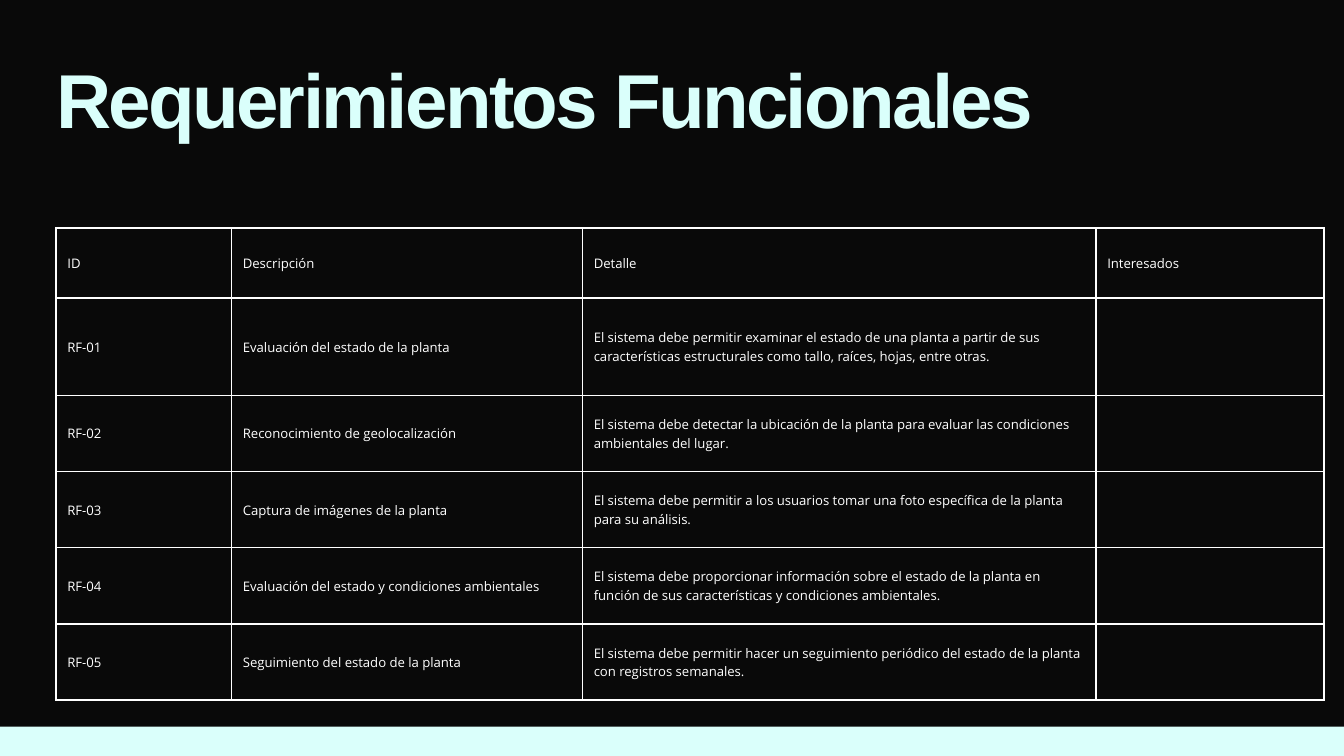
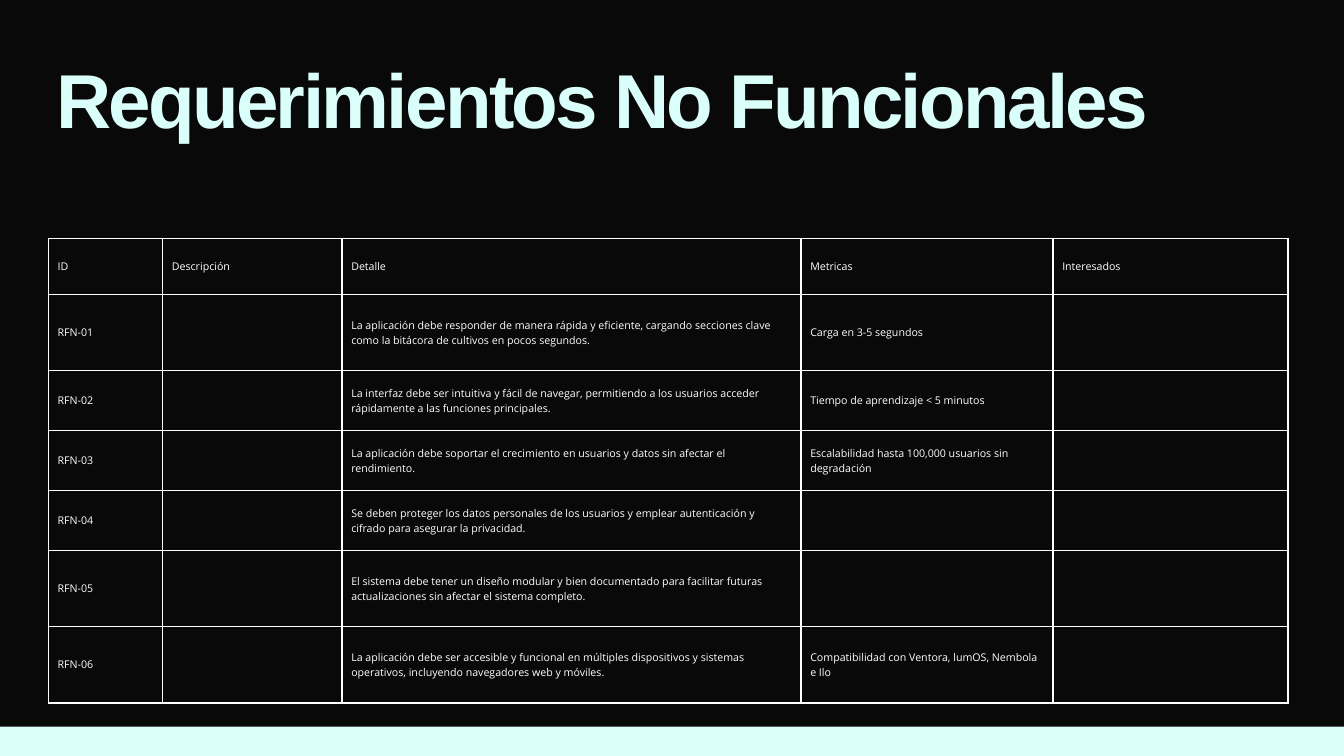
from lxml import etree
from pptx import Presentation
from pptx.dml.color import RGBColor
from pptx.enum import shapes, text
from pptx.oxml import ns
from pptx.util import Pt

COLORS = {"back": "090909", "mint": "DAFFFB", "white": "FFFFFF"}
WIDTH, HEIGHT = 1440, 810
BAND = 31.5
LEFT, TOP = 60, 79.2

PAGES = [
    {
        "title": "Requerimientos Funcionales",
        "box": (1112.4, 165),
        "at": (60, 244.2),
        "cols": [188, 376, 550.2, 244.2],
        "rows": [75, 104.4] + [81.6] * 4,
        "size": 14.1, "lead": 19.8, "inset": 12.2, "rule": 2.08,
        "cells": [
            ("ID", "Descripción", "Detalle", "Interesados"),
            ("RF-01", "Evaluación del estado de la planta",
             "El sistema debe permitir examinar el estado de una planta a partir de sus "
             "características estructurales como tallo, raíces, hojas, entre otras.", ""),
            ("RF-02", "Reconocimiento de geolocalización",
             "El sistema debe detectar la ubicación de la planta para evaluar las "
             "condiciones ambientales del lugar.", ""),
            ("RF-03", "Captura de imágenes de la planta",
             "El sistema debe permitir a los usuarios tomar una foto específica de la "
             "planta para su análisis.", ""),
            ("RF-04", "Evaluación del estado y condiciones ambientales",
             "El sistema debe proporcionar información sobre el estado de la planta en "
             "función de sus características y condiciones ambientales.", ""),
            ("RF-05", "Seguimiento del estado de la planta",
             "El sistema debe permitir hacer un seguimiento periódico del estado de la "
             "planta con registros semanales.", ""),
        ],
    },
    {
        "title": "Requerimientos No Funcionales",
        "box": (1260.7, 90),
        "at": (51.8, 255.6),
        "cols": [122.4, 192.2, 491.8, 270, 252],
        "rows": [60, 81.5] + [64.3] * 3 + [81.5] * 2,
        "size": 11.4, "lead": 15.9, "inset": 10, "rule": 1.95,
        "cells": [
            ("ID", "Descripción", "Detalle", "Metricas", "Interesados"),
            ("RFN-01", "",
             "La aplicación debe responder de manera rápida y eficiente, cargando "
             "secciones clave como la bitácora de cultivos en pocos segundos.",
             "Carga en 3-5 segundos", ""),
            ("RFN-02", "",
             "La interfaz debe ser intuitiva y fácil de navegar, permitiendo a los "
             "usuarios acceder rápidamente a las funciones principales.",
             "Tiempo de aprendizaje < 5 minutos", ""),
            ("RFN-03", "",
             "La aplicación debe soportar el crecimiento en usuarios y datos sin "
             "afectar el rendimiento.",
             "Escalabilidad hasta 100,000 usuarios sin degradación", ""),
            ("RFN-04", "",
             "Se deben proteger los datos personales de los usuarios y emplear "
             "autenticación y cifrado para asegurar la privacidad.", "", ""),
            ("RFN-05", "",
             "El sistema debe tener un diseño modular y bien documentado para "
             "facilitar futuras actualizaciones sin afectar el sistema completo.", "", ""),
            ("RFN-06", "",
             "La aplicación debe ser accesible y funcional en múltiples dispositivos y "
             "sistemas operativos, incluyendo navegadores web y móviles.",
             "Compatibilidad con Ventora, lumOS, Nembola e Ilo", ""),
        ],
    },
]


def color(name):
    return RGBColor.from_string(COLORS[name])


def write(frame, words, size, lead, font="Open Sans", fill="white", bold=False, track=0):
    para = frame.paragraphs[0]
    para.line_spacing = Pt(lead)
    para.alignment = text.PP_ALIGN.LEFT
    run = para.add_run()
    run.text = words
    run.font.size = Pt(size)
    run.font.name = font
    run.font.bold = bold
    run.font.color.rgb = color(fill)
    if track:
        run._r.get_or_add_rPr().set("spc", str(round(track * 100)))


def border(cell, width):
    """Draw a white line on all four sides of a cell."""
    props = cell._tc.get_or_add_tcPr()
    for spot, side in enumerate(("lnL", "lnR", "lnT", "lnB")):
        line = etree.Element(ns.qn("a:" + side), w=str(Pt(width)))
        fill = etree.SubElement(line, ns.qn("a:solidFill"))
        etree.SubElement(fill, ns.qn("a:srgbClr"), val=COLORS["white"])
        props.insert(spot, line)


def add_title(slide, page):
    box = slide.shapes.add_textbox(Pt(LEFT), Pt(TOP), *map(Pt, page["box"]))
    frame = box.text_frame
    frame.word_wrap = True
    frame.auto_size = text.MSO_AUTO_SIZE.SHAPE_TO_FIT_TEXT
    frame.margin_left = frame.margin_right = frame.margin_top = frame.margin_bottom = 0
    write(frame, page["title"], 81.8, 75.3, font="Arial", fill="mint", bold=True, track=-2.9)


def add_band(slide):
    band = slide.shapes.add_shape(shapes.MSO_SHAPE.RECTANGLE, 0, Pt(HEIGHT - BAND),
                                  Pt(WIDTH), Pt(BAND))
    band.shadow.inherit = False
    band.fill.solid()
    band.fill.fore_color.rgb = color("mint")
    band.line.fill.background()


def add_grid(slide, page):
    cols, rows = page["cols"], page["rows"]
    table = slide.shapes.add_table(len(rows), len(cols), *map(Pt, page["at"]),
                                   Pt(sum(cols)), Pt(sum(rows))).table
    table.first_row = table.horz_banding = False
    for col, width in zip(table.columns, cols):
        col.width = Pt(width)
    for row, height, line in zip(table.rows, rows, page["cells"]):
        row.height = Pt(height)
        for cell, words in zip(row.cells, line):
            cell.fill.background()
            border(cell, page["rule"])
            cell.vertical_anchor = text.MSO_ANCHOR.MIDDLE
            cell.margin_left = cell.margin_right = Pt(page["inset"])
            cell.margin_top = cell.margin_bottom = Pt(page["inset"])
            if words:
                write(cell.text_frame, words, page["size"], page["lead"])


def main():
    deck = Presentation()
    deck.slide_width, deck.slide_height = Pt(WIDTH), Pt(HEIGHT)
    for page in PAGES:
        slide = deck.slides.add_slide(deck.slide_layouts[6])
        slide.background.fill.solid()
        slide.background.fill.fore_color.rgb = color("back")
        add_title(slide, page)
        add_band(slide)
        add_grid(slide, page)
    deck.save("out.pptx")


if __name__ == "__main__":
    main()
